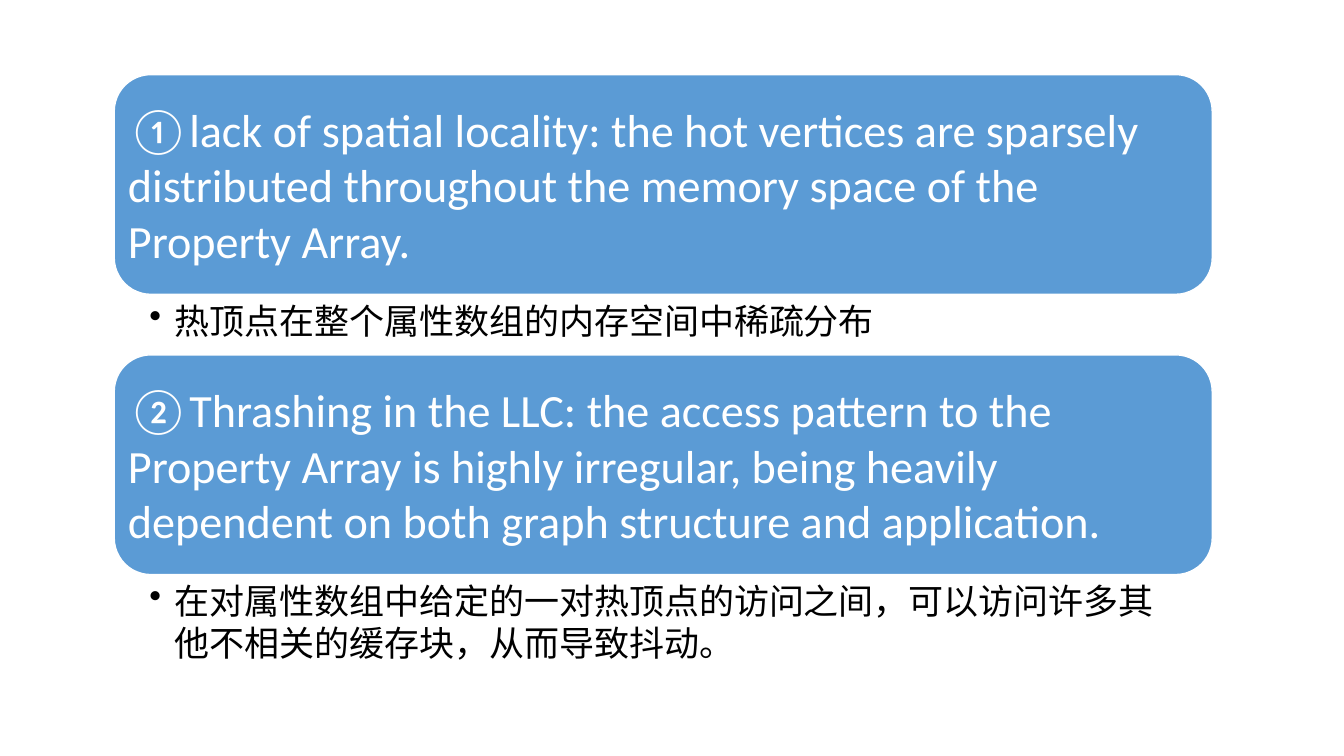
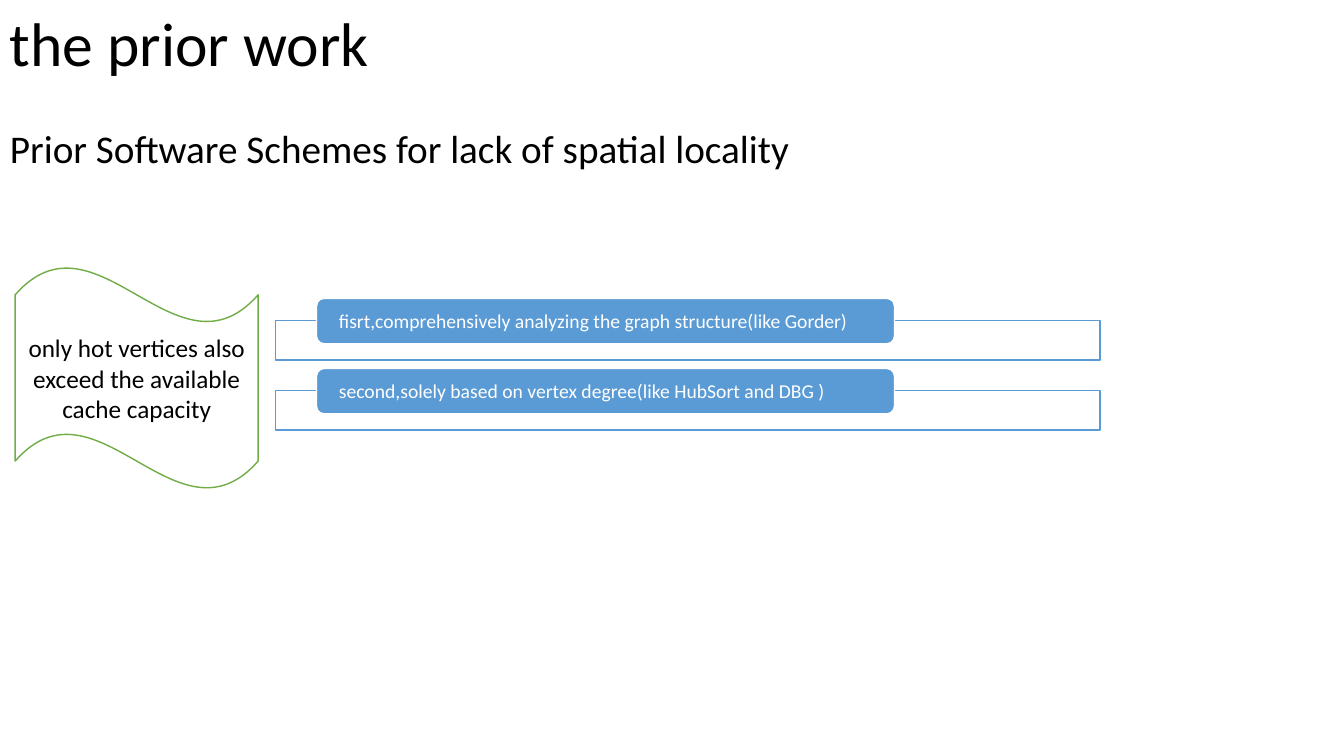
from lxml.etree import SubElement
from pptx import Presentation
from pptx.dml.color import RGBColor
from pptx.enum.shapes import MSO_SHAPE
from pptx.enum.text import MSO_ANCHOR, PP_ALIGN
from pptx.oxml.ns import qn
from pptx.util import Inches, Pt

COLORS = {"blue": "5B9BD5", "green": "70AD47", "white": "FFFFFF", "black": "000000"}
FONT = "Calibri"

deck = Presentation()
deck.slide_width, deck.slide_height = Inches(13.33), Inches(7.5)
blank = deck.slide_layouts[6]


def add_box(page, area, shape=None, fill="white", line="white"):
    """Add a shape, or a text box without one; area is in percent of the slide."""
    left, top, width, height = area
    frame = (int(deck.slide_width * left / 100), int(deck.slide_height * top / 100),
             int(deck.slide_width * width / 100), int(deck.slide_height * height / 100))
    if shape is None:
        return page.shapes.add_textbox(*frame)
    box = page.shapes.add_shape(shape, *frame)
    box.shadow.inherit = False
    box.fill.solid()
    box.fill.fore_color.rgb = RGBColor.from_string(COLORS[fill])
    box.line.color.rgb = RGBColor.from_string(COLORS[line])
    box.line.width = Pt(1)
    return box


def write(box, text, size, color="black", anchor=MSO_ANCHOR.MIDDLE,
          align=PP_ALIGN.LEFT, insets=(0.1, 0.05, 0.1, 0.05), bullet=False):
    """Write one paragraph; insets are left, top, right, bottom in inches."""
    frame = box.text_frame
    frame.word_wrap = True
    frame.vertical_anchor = anchor
    (frame.margin_left, frame.margin_top,
     frame.margin_right, frame.margin_bottom) = map(Inches, insets)
    para = frame.paragraphs[0]
    para.text = text
    para.alignment = align
    if bullet:
        props = para._p.get_or_add_pPr()
        props.set("marL", str(Inches(0.25)))
        props.set("indent", str(-Inches(0.25)))
        SubElement(props, qn("a:buChar"), char="•")
    para.font.name = FONT
    para.font.size = Pt(size)
    para.font.color.rgb = RGBColor.from_string(COLORS[color])
    return para


# Slide 1: two problems, each a bar with a note below, stacked without gaps
page = deck.slides.add_slide(blank)
left, width, bar_height = 8.5, 81.7, 29.07
problems = [
    ("①lack of spatial locality: the hot vertices are sparsely distributed "
     "throughout the memory space of the Property Array.",
     "热顶点在整个属性数组的内存空间中稀疏分布", 8),
    ("②Thrashing in the LLC: the access pattern to the Property Array is highly "
     "irregular, being heavily dependent on both graph structure and application.",
     "在对属性数组中给定的一对热顶点的访问之间，可以访问许多其他不相关的缓存块，从而导致抖动。", 12.67),
]
top = 9.87
for problem, note, note_height in problems:
    bar = add_box(page, (left, top, width, bar_height), MSO_SHAPE.ROUNDED_RECTANGLE, "blue")
    write(bar, problem, 33, "white", insets=(0.03, 0.03, 0.03, 0.03))
    top += bar_height
    note_box = add_box(page, (left, top, width, note_height))
    write(note_box, note, 25, anchor=MSO_ANCHOR.TOP,
          insets=(0.35, 0.05, 0.26, 0.05), bullet=True)
    top += note_height

# Slide 2: title and subtitle
page = deck.slides.add_slide(blank)
title = write(add_box(page, (0, 0, 30.45, 12.27)), "the prior work", 44)
title.line_spacing = 0.9
write(add_box(page, (0, 15.73, 62.5, 7.87)),
      "Prior Software Schemes for lack of spatial locality", 28, anchor=MSO_ANCHOR.TOP)

# Schemes: a label over the upper edge of an open frame
schemes = [
    "fisrt,comprehensively analyzing the graph structure(like Gorder)",
    "second,solely based on vertex degree(like HubSort and DBG )",
]
for row, scheme in enumerate(schemes):
    top = 39.47 + row * 9.27
    panel = add_box(page, (20.5, top + 2.93, 61.35, 5.2), MSO_SHAPE.RECTANGLE, line="blue")
    SubElement(panel.fill._xPr.find(".//" + qn("a:srgbClr")), qn("a:alpha"), val="90000")
    label = add_box(page, (23.55, top, 43, 6), MSO_SHAPE.ROUNDED_RECTANGLE, "blue")
    write(label, scheme, 14, "white", insets=(0.2, 0, 0.2, 0))

# Wave with the shared limitation
wave = add_box(page, (1.13, 35.33, 18.08, 29.33), MSO_SHAPE.WAVE, line="green")
write(wave, "only hot vertices also exceed the available cache capacity", 18,
      align=PP_ALIGN.CENTER)

deck.save("out.pptx")
